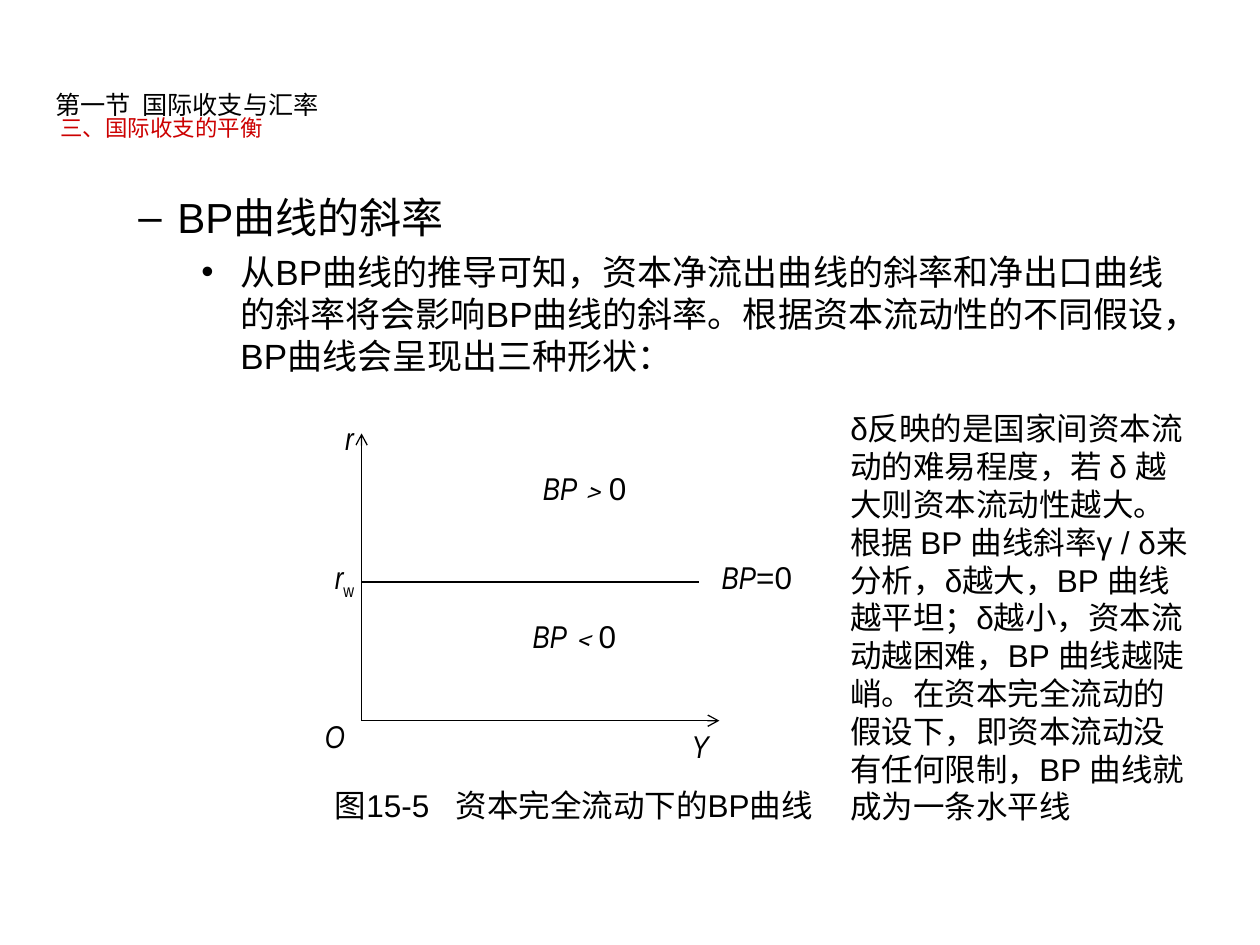
"""Build the slide on the slope of the BP curve under perfect capital mobility."""
from lxml import etree
from pptx import Presentation, util as u
from pptx.dml.color import RGBColor
from pptx.enum import shapes, text
from pptx.oxml.ns import qn

BLACK, RED = "000000", "CC0000"
SANS, NARROW, CJK = "Arial", "Arial Narrow", "Noto Sans CJK SC"

HEADING = [("第一节  国际收支与汇率", 14.4, BLACK), (" 三、国际收支的平衡", 12.8, RED)]
OUTLINE = [
    ("BP曲线的斜率", "–", 24, 0.81, 0),
    ("从BP曲线的推导可知，资本净流出曲线的斜率和净出口曲线的斜率将会影响BP曲线的斜率。"
     "根据资本流动性的不同假设，BP曲线会呈现出三种形状：", "•", 20, 1.31, 5),
]
CAPTION = "图15-5   资本完全流动下的BP曲线"
EXPLANATION = (
    "δ反映的是国家间资本流动的难易程度，若 δ 越大则资本流动性越大。 根据 BP 曲线斜率γ / δ来分析，"
    "δ越大，BP 曲线越平坦；δ越小，资本流动越困难，BP 曲线越陡峭。在资本完全流动的假设下，"
    "即资本流动没有任何限制，BP 曲线就成为一条水平线")

ITALIC = {"name": NARROW, "italic": True}
UPRIGHT = {"name": SANS, "italic": False}
SUBSCRIPT = {"name": NARROW, "italic": False, "baseline": "-25000"}
LABELS = [
    ((5.39, 5.72, 0.63, 0.4), [("Y", ITALIC)]),
    ((2.48, 5.64, 0.86, 0.4), [("O", ITALIC)]),
    ((2.64, 3.28, 0.79, 0.4), [("r", ITALIC)]),
    ((2.56, 4.38, 0.63, 0.44), [("r", ITALIC), ("w", SUBSCRIPT)]),
    ((5.63, 4.38, 0.94, 0.4), [("BP", ITALIC), ("=0", UPRIGHT)]),
    ((4.21, 3.67, 0.95, 0.4), [("BP﹥", ITALIC), ("0", UPRIGHT)]),
    ((4.13, 4.85, 0.87, 0.4), [("BP﹤", ITALIC), ("0", UPRIGHT)]),
    ((2.56, 6.19, 4.17, 0.7), [(CAPTION, UPRIGHT)]),
    ((6.65, 3.2, 2.91, 3.7), [(EXPLANATION, UPRIGHT)]),
]
ORIGIN_X, ORIGIN_Y, WORLD_RATE_Y = 2.87, 5.72, 4.62
LINES = [
    (ORIGIN_X, ORIGIN_Y, 5.71, ORIGIN_Y, True),
    (ORIGIN_X, ORIGIN_Y, ORIGIN_X, 3.44, True),
    (ORIGIN_X, WORLD_RATE_Y, 5.55, WORLD_RATE_Y, False),
]


def color(value):
    return RGBColor.from_string(value)


def inches(values):
    return [u.Inches(value) for value in values]


def add_run(paragraph, words, size, shade=BLACK, **formats):
    run = paragraph.add_run()
    run.text = words
    run.font.size = u.Pt(size)
    run.font.color.rgb = color(shade)
    for key, value in formats.items():
        if key == "baseline":
            run.font._element.set(key, value)
        else:
            setattr(run.font, key, value)


def add_text(slide, place):
    frame = slide.shapes.add_textbox(*inches(place)).text_frame
    frame.word_wrap = True
    return frame


def add_heading(slide):
    heading = slide.shapes.title
    heading.left, heading.top, heading.width, heading.height = inches((0.34, 0.52, 9, 0.94))
    frame = heading.text_frame
    formats = {"auto_size": text.MSO_AUTO_SIZE.NONE, "word_wrap": True,
               "vertical_anchor": text.MSO_ANCHOR.MIDDLE, "margin_bottom": u.Inches(0.16)}
    for key, value in formats.items():
        setattr(frame, key, value)
    paragraph = frame.paragraphs[0]
    paragraph.alignment = text.PP_ALIGN.LEFT
    paragraph.line_spacing = 0.8
    for row, (words, size, shade) in enumerate(HEADING):
        if row:
            paragraph.add_line_break()
        add_run(paragraph, words, size, shade, name=CJK)


def add_outline(slide):
    frame = add_text(slide, (0.5, 1.47, 9, 5.23))
    for row, (words, bullet, size, indent, before) in enumerate(OUTLINE):
        paragraph = frame.add_paragraph() if row else frame.paragraphs[0]
        paragraph.level = row + 1
        paragraph.space_before = u.Pt(before)
        properties = paragraph._p.get_or_add_pPr()
        properties.set("marL", str(u.Inches(indent)))
        properties.set("indent", str(u.Inches(-0.31)))
        etree.SubElement(properties, qn("a:buFont"), typeface=SANS)
        etree.SubElement(properties, qn("a:buChar"), char=bullet)
        add_run(paragraph, words, size, name=SANS)


def add_line(slide, ends, arrow):
    line = slide.shapes.add_connector(shapes.MSO_CONNECTOR.STRAIGHT, *inches(ends))
    line.line.color.rgb = color(BLACK)
    line.line.width = u.Pt(0.75)
    if arrow:
        etree.SubElement(line.line._get_or_add_ln(), qn("a:tailEnd"), type="arrow")
    etree.SubElement(line._element.spPr, qn("a:effectLst"))


def main():
    deck = Presentation()
    deck.slide_width, deck.slide_height = inches((10, 7.5))
    slide = deck.slides.add_slide(deck.slide_layouts[5])
    for *ends, arrow in LINES:
        add_line(slide, ends, arrow)
    for place, runs in LABELS:
        paragraph = add_text(slide, place).paragraphs[0]
        for words, formats in runs:
            add_run(paragraph, words, 18, **formats)
    add_outline(slide)
    add_heading(slide)
    deck.save("out.pptx")


if __name__ == "__main__":
    main()
